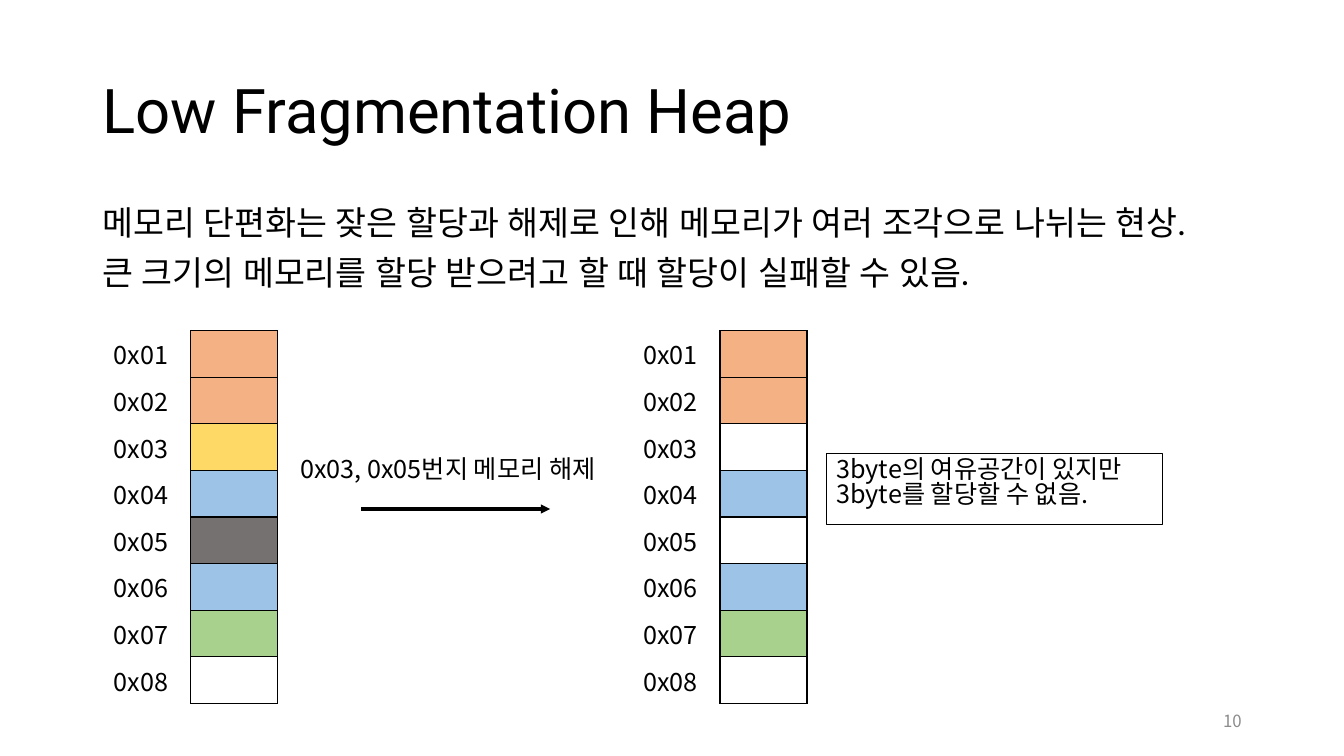
from dataclasses import dataclass
from typing import Optional

from lxml.etree import SubElement
from pptx import Presentation
from pptx.dml.color import RGBColor
from pptx.enum.shapes import MSO_CONNECTOR, MSO_SHAPE
from pptx.enum.text import MSO_ANCHOR, PP_ALIGN
from pptx.oxml.ns import qn
from pptx.util import Emu, Inches, Pt

GRID_COLUMNS, GRID_ROWS = 160, 90
GRID_STEP = Inches(13.333) / GRID_COLUMNS
PLAIN_TABLE_STYLE = "{2D5ABB26-0587-4C30-8999-92F81FD0307C}"


@dataclass(frozen=True)
class Theme:
    ink: str = "000000"
    page_number: str = "8C8C8C"
    orange: str = "F4B183"
    yellow: str = "FFD966"
    blue: str = "9DC3E6"
    gray: str = "767171"
    green: str = "A9D18E"
    title_font: str = "Roboto"
    body_font: str = "Lato"
    label_font: str = "Noto Sans CJK KR"
    title_size: int = 44
    body_size: int = 24
    label_size: int = 18
    page_size: int = 12
    block_border: float = 1
    callout_border: float = 0.75
    arrow_width: float = 2.25


THEME = Theme()


@dataclass(frozen=True)
class Area:
    column: float
    row: float
    columns: float
    rows: float

    def box(self) -> tuple[Emu, Emu, Emu, Emu]:
        return grid(self.column), grid(self.row), grid(self.columns), grid(self.rows)


@dataclass(frozen=True)
class Passage:
    area: Area
    paragraphs: tuple[str, ...]
    font: str
    size: int
    color: str = THEME.ink
    anchor: MSO_ANCHOR = MSO_ANCHOR.TOP
    align: PP_ALIGN = PP_ALIGN.LEFT
    line_spacing: float = 1.0
    space_before: float = 0
    border: Optional[float] = None


@dataclass(frozen=True)
class MemoryMap:
    column: float
    blocks: tuple[Optional[str], ...]


PASSAGES = (
    Passage(Area(11, 4.8, 138, 17.4), ("Low Fragmentation Heap",),
            THEME.title_font, THEME.title_size, anchor=MSO_ANCHOR.MIDDLE, line_spacing=0.9),
    Passage(Area(11, 24, 138, 57.1),
            ("메모리 단편화는 잦은 할당과 해제로 인해 메모리가 여러 조각으로 나뉘는 현상.",
             "큰 크기의 메모리를 할당 받으려고 할 때 할당이 실패할 수 있음."),
            THEME.body_font, THEME.body_size, line_spacing=0.9, space_before=10),
    Passage(Area(34.56, 54, 41.5, 4.8), ("0x03, 0x05번지 메모리 해제",),
            THEME.label_font, THEME.label_size, line_spacing=0.83),
    Passage(Area(98.4, 54, 40, 8.5), ("3byte의 여유공간이 있지만 3byte를 할당할 수 없음.",),
            THEME.label_font, THEME.label_size, line_spacing=0.83,
            border=THEME.callout_border),
    Passage(Area(113, 83.4, 36, 4.8), ("10",), THEME.label_font, THEME.page_size,
            THEME.page_number, MSO_ANCHOR.MIDDLE, PP_ALIGN.RIGHT),
)

ALLOCATED = (THEME.orange, THEME.orange, THEME.yellow, THEME.blue,
             THEME.gray, THEME.blue, THEME.green, None)
FREED_ADDRESSES = (3, 5)
AFTER_RELEASE = tuple(None if address in FREED_ADDRESSES else color
                      for address, color in enumerate(ALLOCATED, 1))
MEMORY_MAPS = (MemoryMap(12.36, ALLOCATED), MemoryMap(75.36, AFTER_RELEASE))
MAP_TOP, MAP_COLUMN, MAP_ROW = 39.36, 10.36, 4.86
RELEASE_ARROW = Area(43, 60.6, 22.5, 0)


def grid(steps: float) -> Emu:
    return Emu(round(steps * GRID_STEP))


def add_run(paragraph, text: str, font: str, size: int, color: str) -> None:
    run = paragraph.add_run()
    run.text = text
    run.font.name = font
    run.font.size = Pt(size)
    run.font.color.rgb = RGBColor.from_string(color)
    SubElement(run.font._element, qn("a:ea"), typeface=font)


def add_passage(slide, passage: Passage) -> None:
    if passage.border is None:
        holder = slide.shapes.add_textbox(*passage.area.box())
    else:
        holder = slide.shapes.add_shape(MSO_SHAPE.RECTANGLE, *passage.area.box())
        holder.shadow.inherit = False
        holder.fill.background()
        holder.line.color.rgb = RGBColor.from_string(THEME.ink)
        holder.line.width = Pt(passage.border)
    frame = holder.text_frame
    frame.word_wrap = True
    frame.vertical_anchor = passage.anchor
    for index, text in enumerate(passage.paragraphs):
        paragraph = frame.add_paragraph() if index else frame.paragraphs[0]
        paragraph.alignment = passage.align
        paragraph.line_spacing = passage.line_spacing
        paragraph.space_before = Pt(passage.space_before)
        add_run(paragraph, text, passage.font, passage.size, passage.color)


def add_borders(cell, sides: str) -> None:
    properties = cell._tc.get_or_add_tcPr()
    for side in sides:
        border = SubElement(properties, qn(f"a:ln{side}"), w=str(Pt(THEME.block_border)))
        fill = SubElement(border, qn("a:solidFill"))
        SubElement(fill, qn("a:srgbClr"), val=THEME.ink)


def fill_cell(cell, color: Optional[str]) -> None:
    if color is None:
        cell.fill.background()
    else:
        cell.fill.solid()
        cell.fill.fore_color.rgb = RGBColor.from_string(color)


def add_memory_map(slide, memory: MemoryMap) -> None:
    count = len(memory.blocks)
    area = Area(memory.column, MAP_TOP, 2 * MAP_COLUMN, count * MAP_ROW)
    table = slide.shapes.add_table(count, 2, *area.box()).table
    table.first_row = table.horz_banding = False
    table._tbl.tblPr.find(qn("a:tableStyleId")).text = PLAIN_TABLE_STYLE
    for index, color in enumerate(memory.blocks):
        label, block = table.cell(index, 0), table.cell(index, 1)
        add_run(label.text_frame.paragraphs[0], f"0x{index + 1:02}",
                THEME.label_font, THEME.label_size, THEME.ink)
        add_borders(label, "R")
        add_borders(block, "LRTB")
        fill_cell(label, None)
        fill_cell(block, color)


def add_arrow(slide, area: Area) -> None:
    left, top, width, height = area.box()
    arrow = slide.shapes.add_connector(
        MSO_CONNECTOR.STRAIGHT, left, top, left + width, top + height)
    arrow.line.color.rgb = RGBColor.from_string(THEME.ink)
    arrow.line.width = Pt(THEME.arrow_width)
    SubElement(arrow.line._get_or_add_ln(), qn("a:tailEnd"), type="triangle")
    SubElement(arrow._element.spPr, qn("a:effectLst"))


def main() -> None:
    presentation = Presentation()
    presentation.slide_width = grid(GRID_COLUMNS)
    presentation.slide_height = grid(GRID_ROWS)
    slide = presentation.slides.add_slide(presentation.slide_layouts[6])
    for memory in MEMORY_MAPS:
        add_memory_map(slide, memory)
    add_arrow(slide, RELEASE_ARROW)
    for passage in PASSAGES:
        add_passage(slide, passage)
    presentation.save("out.pptx")


if __name__ == "__main__":
    main()
